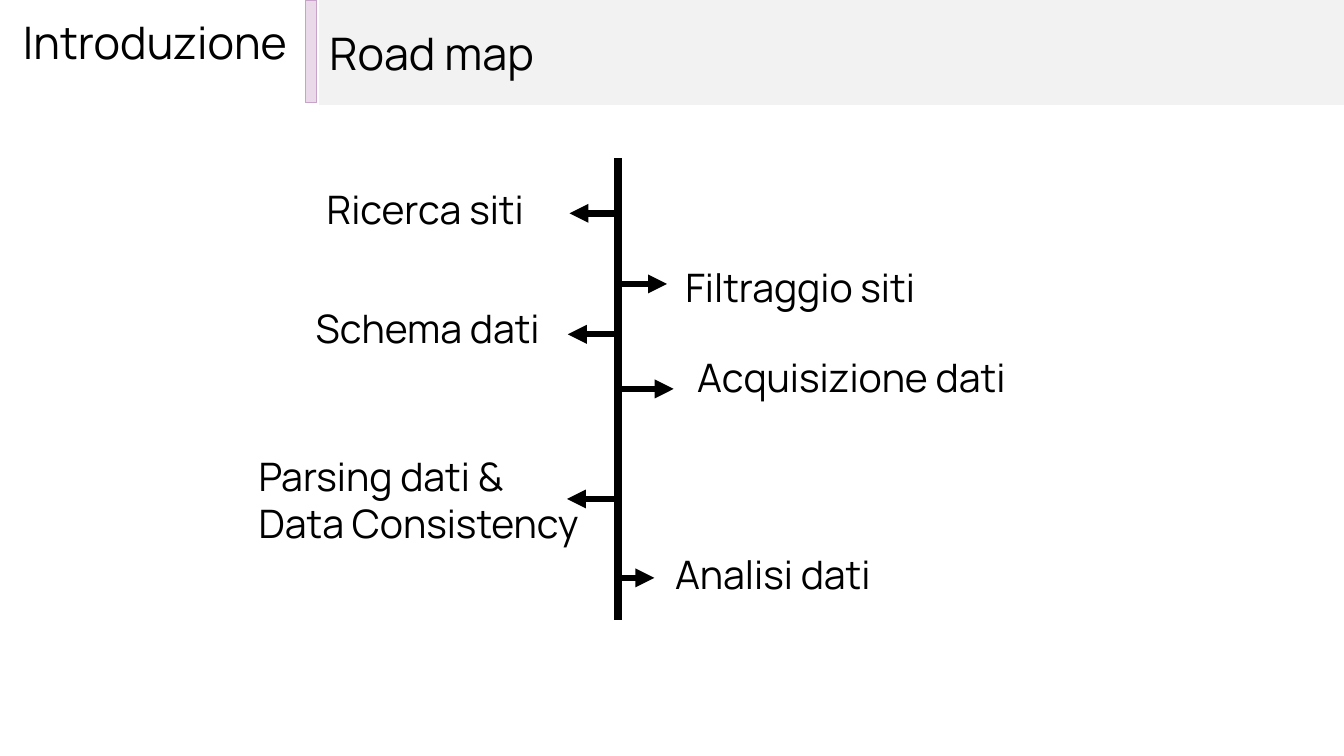
from lxml import etree
from pptx import Presentation
from pptx import util as u
from pptx.dml.color import RGBColor
from pptx.enum import shapes, text
from pptx.oxml.ns import qn

COLUMNS, ROWS = 160, 90
INK, BAND, LILAC = "000000", "F2F2F2", "C8A2C8"


def color(hex_value):
    return RGBColor.from_string(hex_value)


class RoadMapSlide:
    """Holds the text style and the slide; lengths are grid columns and rows."""

    font = {"name": "Manrope", "bold": False}

    def __init__(self, deck):
        self.slide = deck.slides.add_slide(deck.slide_layouts[5])
        self.column = deck.slide_width / COLUMNS
        self.row = deck.slide_height / ROWS

    def place(self, left, top, width, height):
        return (u.Emu(round(left * self.column)), u.Emu(round(top * self.row)),
                u.Emu(round(width * self.column)), u.Emu(round(height * self.row)))

    def set_words(self, frame, words, size, anchor):
        frame.text = words
        settings = {"word_wrap": True, "vertical_anchor": anchor,
                    "auto_size": text.MSO_AUTO_SIZE.NONE}
        for key, value in settings.items():
            setattr(frame, key, value)
        for paragraph in frame.paragraphs:
            paragraph.alignment = text.PP_ALIGN.LEFT
            for key, value in {**self.font, "size": u.Pt(size)}.items():
                setattr(paragraph.font, key, value)
            paragraph.font.color.rgb = color(INK)

    def title(self, words, area):
        heading = self.slide.shapes.title
        for key, value in zip(("left", "top", "width", "height"), self.place(*area)):
            setattr(heading, key, value)
        heading.fill.solid()
        heading.fill.fore_color.rgb = color(BAND)
        self.set_words(heading.text_frame, words, 32, text.MSO_ANCHOR.MIDDLE)

    def label(self, words, area, size=28):
        box = self.slide.shapes.add_textbox(*self.place(*area))
        self.set_words(box.text_frame, words, size, text.MSO_ANCHOR.TOP)

    def strip(self, area, hex_value, opacity):
        bar = self.slide.shapes.add_shape(shapes.MSO_SHAPE.RECTANGLE, *self.place(*area))
        bar.shadow.inherit = False
        bar.fill.solid()
        bar.fill.fore_color.rgb = bar.line.color.rgb = color(hex_value)
        bar.line.width = u.Pt(1)
        tint = bar._element.spPr.find(qn("a:solidFill"))[0]
        etree.SubElement(tint, qn("a:alpha"), val=str(opacity * 1000))

    def line(self, start, end, weight, arrow=False):
        stroke = self.slide.shapes.add_connector(
            shapes.MSO_CONNECTOR.STRAIGHT, *self.place(*start, *end))
        stroke.line.color.rgb = color(INK)
        stroke.line.width = u.Pt(weight)
        outline = stroke._element.spPr.find(qn("a:ln"))
        if arrow:
            etree.SubElement(outline, qn("a:tailEnd"), type="triangle")
        etree.SubElement(stroke._element.spPr, qn("a:effectLst"))


def main():
    deck = Presentation()
    deck.slide_width, deck.slide_height = u.Inches(13.33), u.Inches(7.5)
    road_map = RoadMapSlide(deck)

    # Header: section name, lilac divider and title band
    road_map.title("Road map", (38, 0, 122, 12.5))
    road_map.label("Introduzione", (1.56, 1.2, 36, 7.8), size=32)
    road_map.strip((36.4, 0, 1.3, 12.24), LILAC, 40)

    # Central axis
    axis = 73.6
    road_map.line((axis, 18.84), (axis, 73.8), 6)

    # Steps: wording, arrow tip and row, label area
    steps = [
        ("Ricerca siti", 67.8, 25.4, (37.7, 21.5, 30.7, 6.8)),
        ("Filtraggio siti", 79.4, 33.8, (80.4, 30.8, 30.7, 6.8)),
        ("Schema dati", 67.6, 39.8, (36.4, 35.6, 30.7, 6.8)),
        ("Acquisizione dati", 80.2, 46.3, (81.8, 41.5, 47.6, 6.8)),
        ("Parsing dati &\nData Consistency", 67.5, 59.4, (29.6, 53.2, 44.3, 12.5)),
        ("Analisi dati", 77.9, 68.8, (79.2, 64.9, 53.4, 6.8)),
    ]
    for step, tip, row, area in steps:
        road_map.line((axis, row), (tip, row), 4.5, arrow=True)
        road_map.label(step, area)

    deck.save("out.pptx")


if __name__ == "__main__":
    main()
